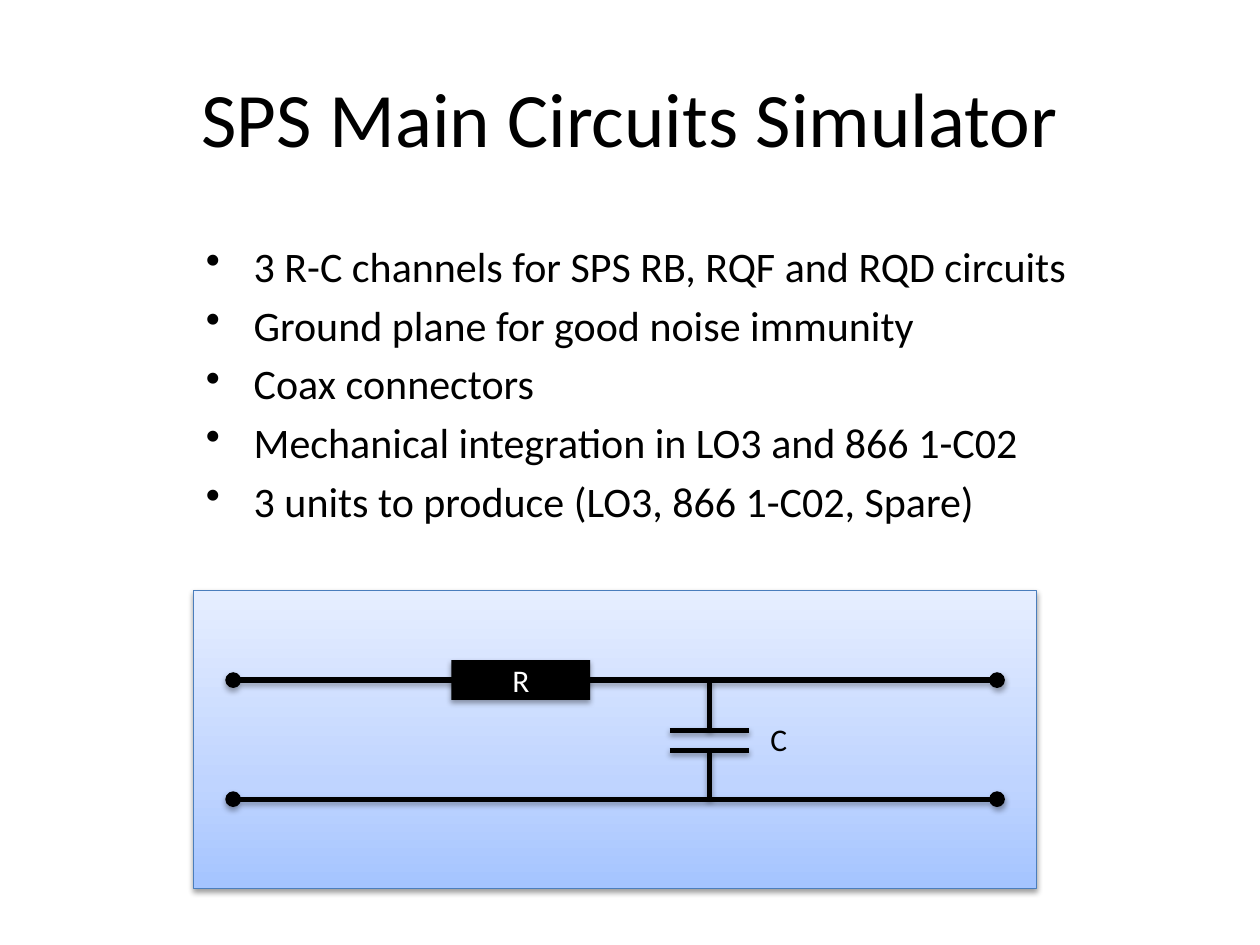
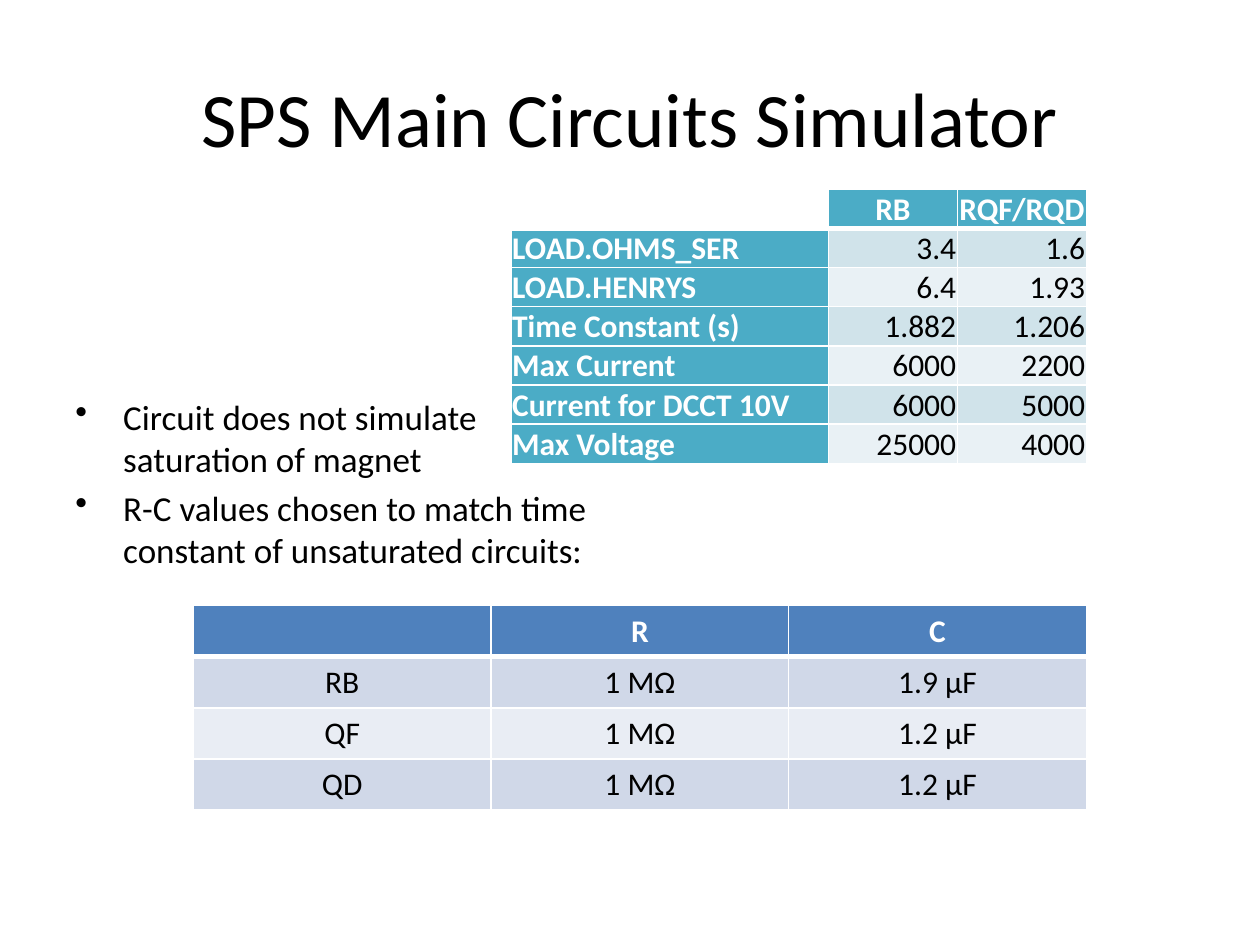
from copy import deepcopy

from lxml.etree import SubElement
from pptx import Presentation
from pptx.dml.color import RGBColor
from pptx.enum.shapes import MSO_CONNECTOR, MSO_SHAPE
from pptx.enum.text import MSO_ANCHOR as Anchor, PP_ALIGN as Align
from pptx.oxml.ns import qn
from pptx.util import Cm, Inches, Pt

FONT = "Calibri"
TITLE = "SPS Main Circuits Simulator"
COLORS = {
    "ink": "000000", "paper": "FFFFFF",
    "panel_bottom": "A4C4FF", "panel_middle": "BFD4FF", "panel_top": "E6EEFF",
    "panel_edge": "4B7EBC",
    "blue": "4F81BD", "blue_dark_band": "D0D8E8", "blue_light_band": "E9EDF4",
    "teal": "4BACC6", "teal_dark_band": "D0E3EA", "teal_light_band": "E9F1F5",
}

# All positions are on a one-centimetre grid; content shares these two edges.
LEFT, RIGHT = 3.9, 21.9
PANEL_TOP, PANEL_WIDTH, PANEL_HEIGHT = 11.91, 17, 6

LOAD_ROWS = [
    ["", "RB", "RQF/RQD"],
    ["LOAD.OHMS_SER", "3.4", "1.6"],
    ["LOAD.HENRYS", "6.4", "1.93"],
    ["Time Constant (s)", "1.882", "1.206"],
    ["Max Current", "6000", "2200"],
    ["Current for DCCT 10V", "6000", "5000"],
    ["Max Voltage", "25000", "4000"],
]
RC_ROWS = [
    ["", "R", "C"],
    ["RB", "1 MΩ", "1.9 µF"],
    ["QF", "1 MΩ", "1.2 µF"],
    ["QD", "1 MΩ", "1.2 µF"],
]


def rgb(name):
    return RGBColor.from_string(COLORS[name])


def cm(*lengths):
    return [Cm(length) for length in lengths]


def on_panel(x, y):
    """Turn a place on the circuit panel into a place on the slide."""
    return cm(LEFT + x, PANEL_TOP + y)


def style(paragraph, size, color="ink", align=Align.LEFT, bold=False):
    paragraph.alignment = align
    font = paragraph.font
    font.name, font.size, font.bold = FONT, Pt(size), bold
    font.color.rgb = rgb(color)


def add_text(slide, box, lines, size, align=Align.LEFT, anchor=Anchor.TOP, wrap=True):
    frame = slide.shapes.add_textbox(*box).text_frame
    frame.word_wrap, frame.vertical_anchor = wrap, anchor
    frame.text = "\n".join(lines)
    for paragraph in frame.paragraphs:
        style(paragraph, size, align=align)
    return frame


def add_bullets(slide, box, lines, size):
    for paragraph in add_text(slide, box, lines, size).paragraphs:
        paragraph.space_before = Pt(size * 0.2)
        props = paragraph._p.get_or_add_pPr()
        indent = Inches(0.38)
        props.set("marL", str(indent))
        props.set("indent", str(-indent))
        bullet = props.makeelement(qn("a:buChar"), {"char": "•"})
        props.find(qn("a:defRPr")).addprevious(bullet)


def add_slide(deck):
    slide = deck.slides.add_slide(deck.slide_layouts[6])
    add_text(slide, cm(1.27, 0.76, 22.86, 3.18), [TITLE], 44,
             Align.CENTER, Anchor.MIDDLE)
    return slide


def cast_shadow(shape, distance=1.8, opacity=35):
    """Drop a soft black shadow straight down."""
    props = shape.element.spPr
    effects = props.find(qn("a:effectLst"))
    if effects is None:
        effects = SubElement(props, qn("a:effectLst"))
    shadow = SubElement(effects, qn("a:outerShdw"), blurRad=str(Pt(3.1)),
                        dist=str(Pt(distance)), dir="5400000", rotWithShape="0")
    black = SubElement(shadow, qn("a:srgbClr"), val=COLORS["ink"])
    SubElement(black, qn("a:alpha"), val=str(opacity * 1000))


def add_block(slide, x, y, width, height):
    block = slide.shapes.add_shape(MSO_SHAPE.RECTANGLE, *on_panel(x, y),
                                   *cm(width, height))
    block.shadow.inherit = False
    return block


def add_panel(slide):
    panel = add_block(slide, 0, 0, PANEL_WIDTH, PANEL_HEIGHT)
    panel.line.color.rgb, panel.line.width = rgb("panel_edge"), Pt(0.75)
    panel.fill.gradient()
    panel.fill.gradient_angle = 90
    stop_list = panel.element.spPr.find(".//" + qn("a:gsLst"))
    stop_list.insert(1, deepcopy(stop_list[0]))
    shades = [("panel_bottom", 0), ("panel_middle", 0.35), ("panel_top", 1)]
    for stop, (color, position) in zip(panel.fill.gradient_stops, shades):
        stop.color.rgb, stop.position = rgb(color), position
    cast_shadow(panel, 1.6, 38)


def add_wire(slide, start, end, terminals=False):
    wire = slide.shapes.add_connector(MSO_CONNECTOR.STRAIGHT,
                                      *on_panel(*start), *on_panel(*end))
    wire.line.color.rgb, wire.line.width = rgb("ink"), Pt(3)
    if terminals:
        outline = wire.line._get_or_add_ln()
        for tip in ("a:headEnd", "a:tailEnd"):
            SubElement(outline, qn(tip), type="oval")
    cast_shadow(wire)


def add_resistor(slide, x, y, width, height):
    resistor = add_block(slide, x, y, width, height)
    resistor.fill.solid()
    resistor.fill.fore_color.rgb = rgb("ink")
    resistor.line.fill.background()
    cast_shadow(resistor)
    frame = resistor.text_frame
    frame.text, frame.vertical_anchor = "R", Anchor.MIDDLE
    style(frame.paragraphs[0], 18, "paper", Align.CENTER)


def draw_circuit(slide):
    supply, ground = 1.8, 4.2
    margin, branch, plate = 0.8, 10.4, 0.8
    add_panel(slide)
    for rail in (supply, ground):
        add_wire(slide, (margin, rail), (PANEL_WIDTH - margin, rail), terminals=True)
    add_resistor(slide, 5.2, supply - 0.4, 2.8, 0.8)
    for rail, gap in ((supply, 2.82), (ground, 3.22)):
        add_wire(slide, (branch, min(rail, gap)), (branch, max(rail, gap)))
        add_wire(slide, (branch - plate, gap), (branch + plate, gap))
    add_text(slide, [*on_panel(11.38, 2.49), *cm(0.79, 1.02)], ["C"], 18, wrap=False)


def set_borders(cell, top, bottom):
    props = cell._tc.get_or_add_tcPr()
    for side, width in (("L", 1), ("R", 1), ("T", top), ("B", bottom)):
        edge = SubElement(props, qn("a:ln" + side), w=str(Pt(width)))
        fill = SubElement(edge, qn("a:solidFill"))
        SubElement(fill, qn("a:srgbClr"), val=COLORS["paper"])


def add_grid(slide, top, rows, widths, row_height, hue, row_heads=False):
    """Add a banded table that ends at the right edge of the content."""
    width = sum(widths)
    table = slide.shapes.add_table(
        len(rows), len(widths), *cm(RIGHT - width, top, width, row_height * len(rows))
    ).table
    table.first_col = row_heads
    for column, column_width in zip(table.columns, widths):
        column.width = Cm(column_width)
    for r, texts in enumerate(rows):
        table.rows[r].height = Cm(row_height)
        for c, text in enumerate(texts):
            cell = table.cell(r, c)
            row_head = row_heads and c == 0
            head = r == 0 or row_head
            set_borders(cell, 3 if r == 1 else 1, 3 if r == 0 else 1)
            if r == 0 and row_head:
                cell.fill.background()
            else:
                band = "_dark_band" if r % 2 else "_light_band"
                cell.fill.solid()
                cell.fill.fore_color.rgb = rgb(hue if head else hue + band)
            align = Align.CENTER
            if row_heads:
                cell.vertical_anchor = Anchor.BOTTOM
                cell.margin_left = cell.margin_right = cell.margin_top = Inches(0.01)
                cell.margin_bottom = 0
                if r > 0:
                    align = Align.LEFT if row_head else Align.RIGHT
            cell.text = text
            style(cell.text_frame.paragraphs[0], 18, "paper" if head else "ink",
                  align, head)


def build_overview(deck):
    slide = add_slide(deck)
    add_bullets(slide, cm(LEFT, 4.72, 18.6, 7), [
        "3 R-C channels for SPS RB, RQF and RQD circuits",
        "Ground plane for good noise immunity",
        "Coax connectors",
        "Mechanical integration in LO3 and 866 1-C02",
        "3 units to produce (LO3, 866 1-C02, Spare)",
    ], 24)
    draw_circuit(slide)


def build_values(deck):
    slide = add_slide(deck)
    add_grid(slide, 12.21, RC_ROWS, [6, 6, 6], 1.03, "blue")
    add_grid(slide, 3.81, LOAD_ROWS, [6.4, 2.6, 2.6], 0.79, "teal", row_heads=True)
    add_bullets(slide, cm(1.27, 7.85, 11.02, 6.88), [
        "Circuit does not simulate saturation of magnet",
        "R-C values chosen to match time constant of unsaturated circuits:",
    ], 20)


def main():
    deck = Presentation()
    deck.slide_width, deck.slide_height = Inches(10), Inches(7.5)
    build_overview(deck)
    build_values(deck)
    deck.save("out.pptx")


if __name__ == "__main__":
    main()
